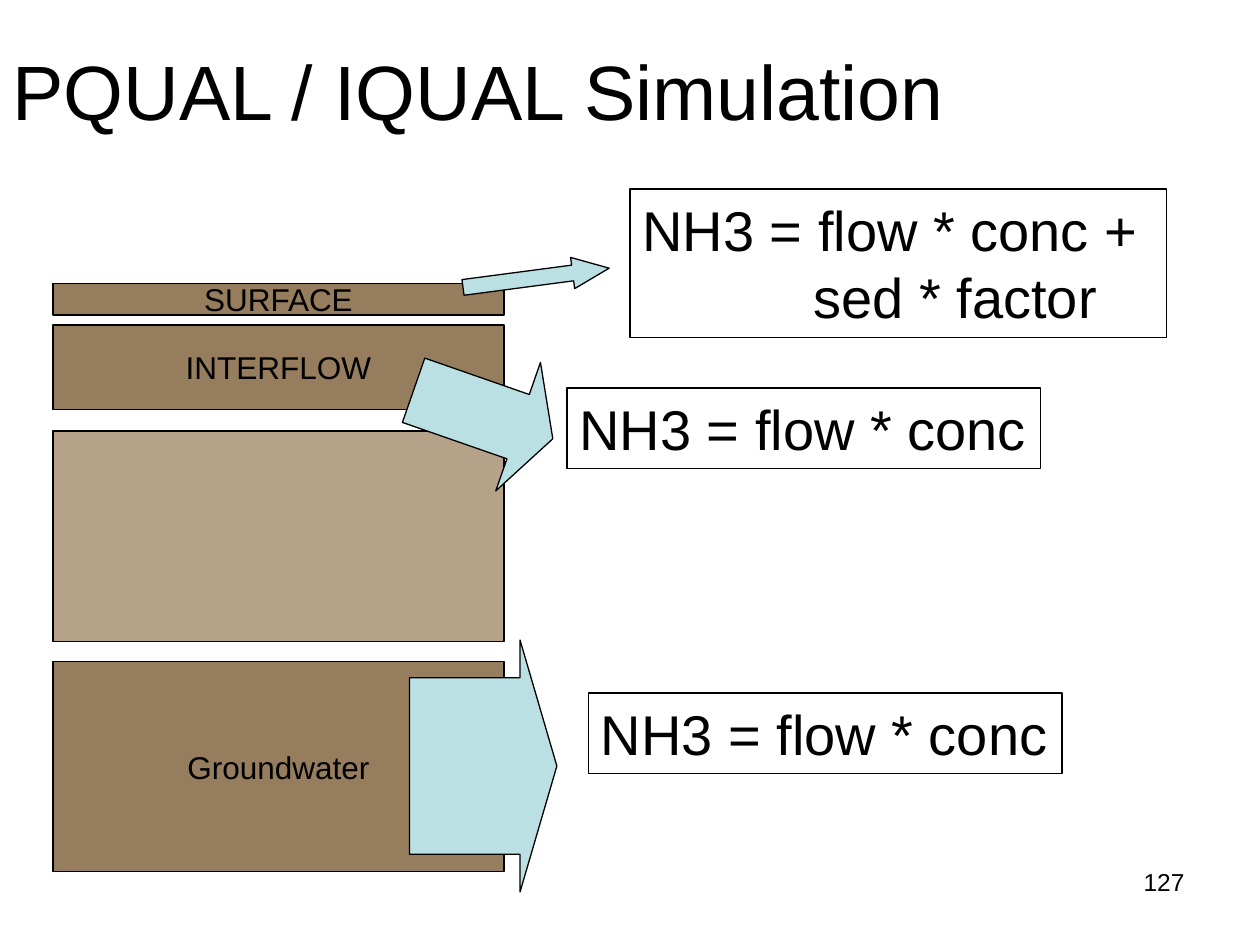
from pptx import Presentation
from pptx.dml.color import RGBColor
from pptx.enum.shapes import MSO_SHAPE
from pptx.enum.text import MSO_ANCHOR, PP_ALIGN
from pptx.util import Inches, Pt

BLACK = "000000"
SOIL = "957D5D"
LOWER_SOIL = "B5A289"
WATER = "BBE0E3"
LAYER_LEFT, LAYER_WIDTH = 0.42, 3.58


def color(hex_string):
    return RGBColor.from_string(hex_string)


def format_text(frame, size, align=PP_ALIGN.LEFT):
    for paragraph in frame.paragraphs:
        paragraph.alignment = align
        for run in paragraph.runs:
            run.font.name = "Arial"
            run.font.size = Pt(size)
            run.font.color.rgb = color(BLACK)


def add_outlined(slide, preset, box, fill=None):
    """Add a preset shape with a thin black outline; no fill if none is given."""
    shape = slide.shapes.add_shape(preset, *map(Inches, box))
    shape.shadow.inherit = False
    if fill:
        shape.fill.solid()
        shape.fill.fore_color.rgb = color(fill)
    else:
        shape.fill.background()
    shape.line.color.rgb = color(BLACK)
    shape.line.width = Pt(0.75)
    return shape


def add_layer(slide, top, height, fill, label=""):
    layer = add_outlined(slide, MSO_SHAPE.RECTANGLE,
                         (LAYER_LEFT, top, LAYER_WIDTH, height), fill)
    if label:
        frame = layer.text_frame
        frame.word_wrap = False
        frame.vertical_anchor = MSO_ANCHOR.MIDDLE
        frame.text = label
        format_text(frame, 18, PP_ALIGN.CENTER)


def add_flow_arrow(slide, box, shaft, head, rotation=0):
    arrow = add_outlined(slide, MSO_SHAPE.RIGHT_ARROW, box, WATER)
    arrow.adjustments[0] = shaft
    arrow.adjustments[1] = head
    arrow.rotation = rotation


def add_formula(slide, box, text):
    """Add a framed formula; lines after the first are indented."""
    formula = add_outlined(slide, MSO_SHAPE.RECTANGLE, box)
    frame = formula.text_frame
    frame.margin_right = 0
    frame.word_wrap = True
    frame.vertical_anchor = MSO_ANCHOR.TOP
    frame.text = text
    format_text(frame, 32)
    for continuation in frame.paragraphs[1:]:
        properties = continuation._p.get_or_add_pPr()
        properties.set("marL", str(Inches(1.36)))
        properties.set("indent", "0")


def add_title(slide, text):
    title = slide.shapes.title
    title.left, title.top = Inches(0), Inches(0)
    title.width, title.height = Inches(8.33), Inches(1.42)
    title.text_frame.text = text
    title.text_frame.vertical_anchor = MSO_ANCHOR.MIDDLE
    format_text(title.text_frame, 44)


def add_page_number(slide, number):
    box = slide.shapes.add_textbox(Inches(7.17), Inches(6.83), Inches(2.33), Inches(0.52))
    box.text_frame.word_wrap = True
    box.text_frame.text = number
    format_text(box.text_frame, 14, PP_ALIGN.RIGHT)


def main():
    deck = Presentation()
    deck.slide_width, deck.slide_height = Inches(10), Inches(7.5)
    slide = deck.slides.add_slide(deck.slide_layouts[5])

    add_page_number(slide, "127")
    add_title(slide, "PQUAL / IQUAL Simulation")

    add_layer(slide, 2.25, 0.25, SOIL, "SURFACE")
    add_layer(slide, 2.58, 0.67, SOIL, "INTERFLOW")
    add_layer(slide, 5.25, 1.67, SOIL, "Groundwater")
    add_layer(slide, 3.42, 1.67, LOWER_SOIL)

    add_flow_arrow(slide, (3.67, 2.08, 1.17, 0.25), 0.5, 1.17, 352.5)
    add_flow_arrow(slide, (3.25, 2.75, 1.17, 1.08), 0.5, 0.27, 19.2)
    add_flow_arrow(slide, (3.25, 5.08, 1.17, 2), 0.7, 0.25)

    add_formula(slide, (5, 1.5, 4.26, 1.18), "NH3 = flow * conc +\nsed * factor")
    for left, top in ((4.67, 5.5), (4.5, 3.08)):
        add_formula(slide, (left, top, 3.76, 0.64), "NH3 = flow * conc")

    deck.save("out.pptx")


if __name__ == "__main__":
    main()
